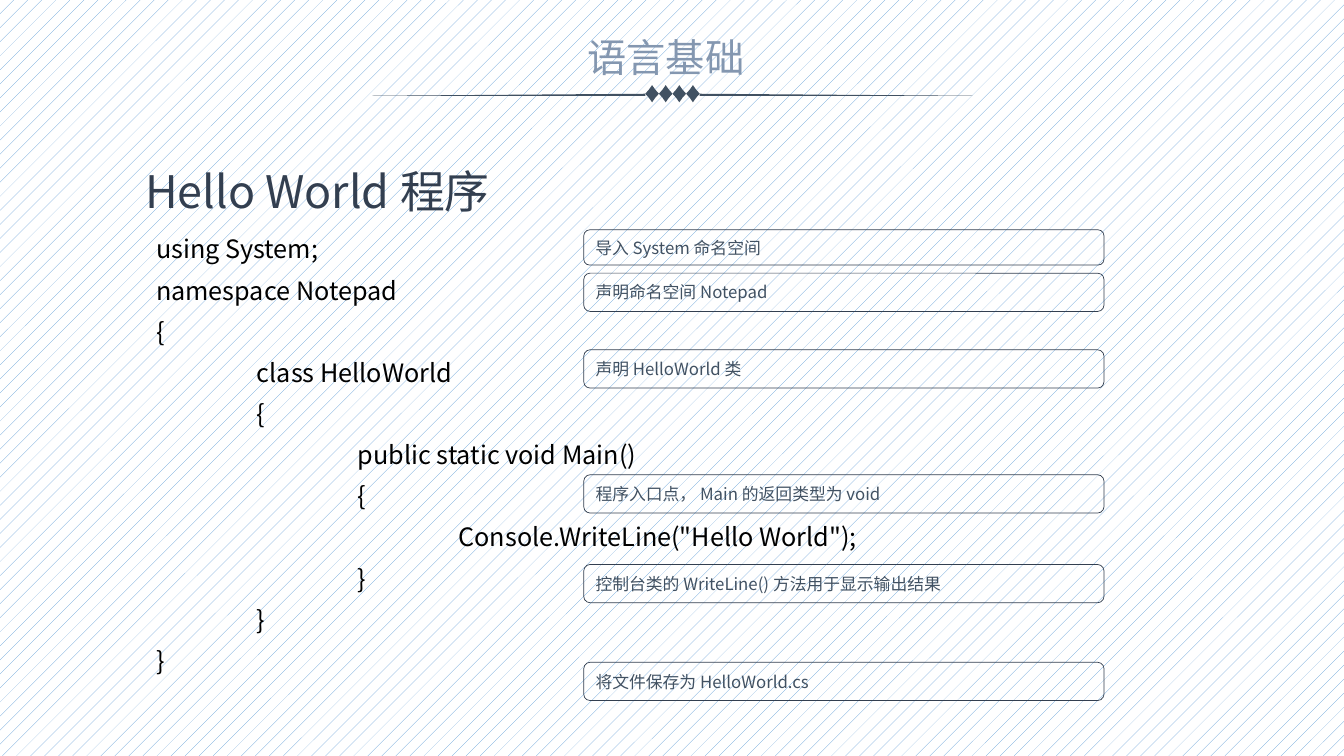
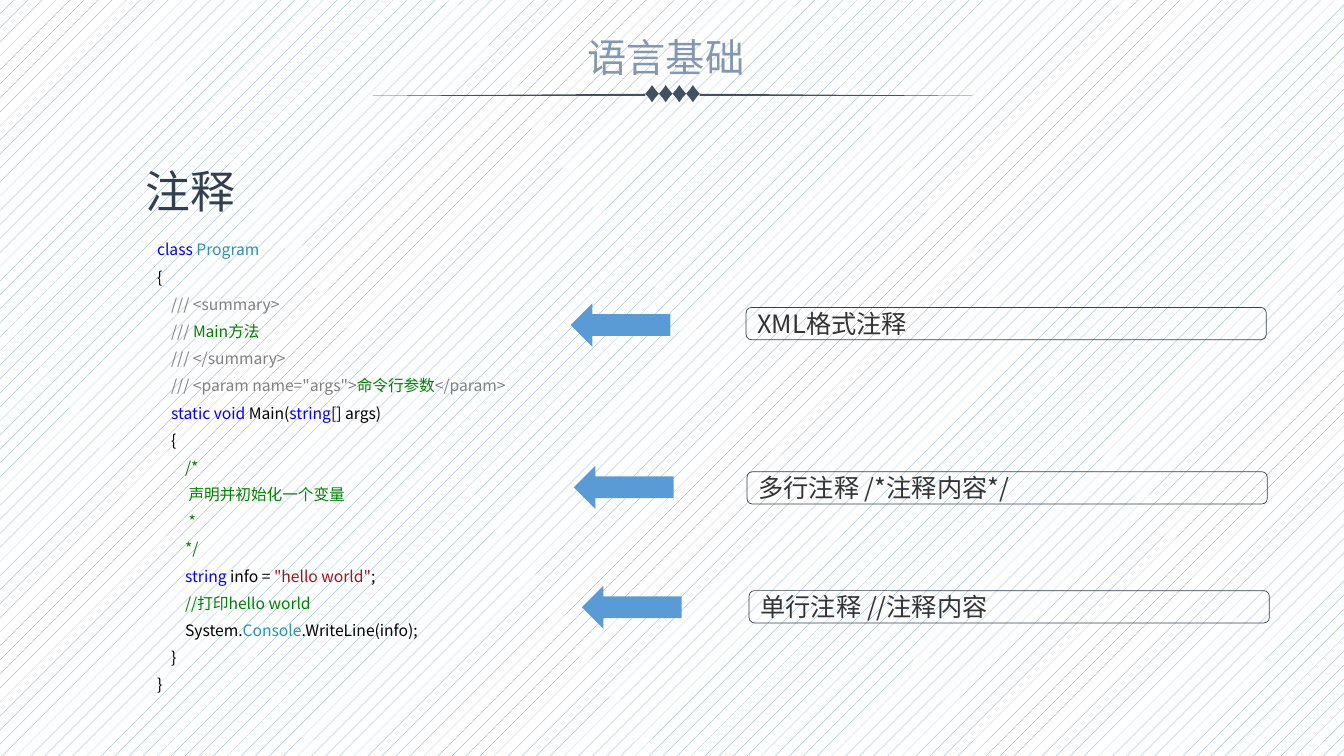
from dataclasses import dataclass

from pptx import Presentation
from pptx import util as u
from pptx.dml.color import RGBColor
from pptx.enum import dml, shapes, text
from pptx.oxml import ns, xmlchemy


@dataclass(frozen=True)
class Theme:
    font: str = "Noto Sans CJK SC"
    leading: float = 1.2
    banner: str = "8497B0"
    ornament: str = "415162"
    dark: str = "333F50"
    note: str = "333333"
    accent: str = "5B9BD5"
    paper: str = "FFFFFF"
    # Type sizes in points
    banner_pt: float = 28
    title_pt: float = 32
    code_pt: float = 18
    small_code_pt: float = 11.2
    label_pt: float = 12


T = Theme()
W, H = 13.33, 7.5

# Syntax colours
BLACK, KEYWORD, TYPE = "000000", "0000FF", "2B91AF"
XML_DOC, COMMENT, STRING = "808080", "008000", "A31515"

HELLO_CODE = [
    "using System;",
    "namespace Notepad",
    "{",
    "\tclass HelloWorld",
    "\t{",
    "\t\tpublic static void Main()",
    "\t\t{",
    "\t\t\tConsole.WriteLine(\"Hello World\");",
    "\t\t}",
    "\t}",
    "}",
]
# Label text, top, height
HELLO_LABELS = [
    ("导入 System 命名空间", 2.28, 0.35),
    ("声明命名空间 Notepad", 2.71, 0.38),
    ("声明 HelloWorld 类", 3.47, 0.38),
    ("程序入口点， Main 的返回类型为 void", 4.71, 0.38),
    ("控制台类的 WriteLine() 方法用于显示输出结果", 5.6, 0.38),
    ("将文件保存为 HelloWorld.cs", 6.57, 0.38),
]
COMMENT_CODE = [
    [("class ", KEYWORD), ("Program", TYPE)],
    [("{", BLACK)],
    [("    /// <summary>", XML_DOC)],
    [("    ///", XML_DOC), (" Main方法", COMMENT)],
    [("    /// </summary>", XML_DOC)],
    [("    /// <param name=\"args\">", XML_DOC), ("命令行参数", COMMENT),
     ("</param>", XML_DOC)],
    [("    static void", KEYWORD), (" Main(", BLACK), ("string", KEYWORD),
     ("[] args)", BLACK)],
    [("    {", BLACK)],
    [("        /*", COMMENT)],
    [("         声明并初始化一个变量", COMMENT)],
    [("         *", COMMENT)],
    [("        */", COMMENT)],
    [("        string", KEYWORD), (" info = ", BLACK),
     ("\"hello world\"", STRING), (";", BLACK)],
    [("        //打印hello world", COMMENT)],
    [("        System.", BLACK), ("Console", TYPE),
     (".WriteLine(info);", BLACK)],
    [("    }", BLACK)],
    [("}", BLACK)],
]
# Label text, arrow left and top, label left and top
COMMENT_KINDS = [
    ("XML格式注释", 5.66, 3.01, 7.4, 3.05),
    ("多行注释 /*注释内容*/", 5.69, 4.62, 7.41, 4.68),
    ("单行注释 //注释内容", 5.77, 5.81, 7.43, 5.86),
]


def rgb(color):
    return RGBColor.from_string(color)


def inches(box):
    return [u.Inches(v) for v in box]


def write(tf, lines, size, align=text.PP_ALIGN.LEFT, spread=1.0, before=0,
          anchor=text.MSO_ANCHOR.TOP):
    """Fill a text frame with lines, each a list of (text, colour) runs."""
    tf.word_wrap = True
    tf.auto_size = text.MSO_AUTO_SIZE.NONE
    tf.vertical_anchor = anchor
    for i, runs in enumerate(lines):
        p = tf.add_paragraph() if i else tf.paragraphs[0]
        p.alignment = align
        p.line_spacing = u.Pt(round(size * T.leading * spread, 1))
        p.space_before = u.Pt(before if i else 0)
        # Tab stops one inch apart
        p._p.get_or_add_pPr().set("defTabSz", str(u.Inches(1)))
        for content, color in runs:
            r = p.add_run()
            r.text = content
            r.font.size = u.Pt(size)
            r.font.name = T.font
            r.font.color.rgb = rgb(color)
            ea = xmlchemy.OxmlElement("a:ea")
            ea.set("typeface", T.font)
            r.font._element.find(ns.qn("a:latin")).addnext(ea)


def add_text(slide, box, lines, size, **style):
    sp = slide.shapes.add_textbox(*inches(box))
    write(sp.text_frame, lines, size, **style)
    return sp


def add_outline(slide, points):
    """Closed solid outline in the ornament colour."""
    start, *rest = [inches(point) for point in points]
    fb = slide.shapes.build_freeform(*start)
    fb.add_line_segments(rest, close=True)
    sp = fb.convert_to_shape()
    sp.shadow.inherit = False
    sp.fill.solid()
    sp.fill.fore_color.rgb = rgb(T.ornament)
    sp.line.fill.background()
    return sp


def add_banner(slide, box):
    """Section name above a tapered rule with four diamonds."""
    left, top, width, height = box
    parts = [add_text(slide, (left + 1.66, top, 2.51, 0.57),
                      [[("语言基础", T.banner)]], T.banner_pt,
                      align=text.PP_ALIGN.CENTER)]
    mid, pitch, half_h = top + height - 0.09, 0.135, 0.085
    first = left + width / 2 - 2 * pitch
    # Diamonds with slightly hollow sides
    hollow = [(1, 0), (0.47, 0.47), (0, 1), (-0.47, 0.47),
              (-1, 0), (-0.47, -0.47), (0, -1), (0.47, -0.47)]
    for i in range(4):
        cx = first + (i + 0.5) * pitch
        parts.append(add_outline(
            slide, [(cx + a * pitch / 2, mid + b * half_h)
                    for a, b in hollow]))
    # Rules thin out towards their tips
    for tip, root in ((left, first), (left + width, first + 4 * pitch)):
        parts.append(add_outline(
            slide, [(tip, mid + 0.02), (root, mid + 0.02), (root, mid)]))
    return parts


def set_up_layout(layout, slide):
    """Give the layout its background and the shared banner."""
    fill = layout.background.fill
    fill.patterned()
    fill.pattern = dml.MSO_PATTERN.PERCENT_5
    fill.fore_color.rgb = rgb(T.accent)
    fill.back_color.rgb = rgb(T.paper)
    for sp in add_banner(slide, (3.69, 0.28, 5.96, 0.74)):
        layout.shapes._spTree.append(sp._element)


def add_title(slide, box, content):
    sp = slide.shapes.title
    sp.left, sp.top, sp.width, sp.height = inches(box)
    write(sp.text_frame, [[(content, T.dark)]], T.title_pt)


def add_label(slide, box, content, size, color):
    sp = slide.shapes.add_shape(
        shapes.MSO_SHAPE.FLOWCHART_ALTERNATE_PROCESS, *inches(box))
    sp.shadow.inherit = False
    sp.fill.background()
    sp.line.color.rgb = rgb(T.dark)
    sp.line.width = u.Pt(0.5)
    write(sp.text_frame, [[(content, color)]], size,
          anchor=text.MSO_ANCHOR.MIDDLE)


def add_arrow(slide, box):
    sp = slide.shapes.add_shape(shapes.MSO_SHAPE.LEFT_ARROW, *inches(box))
    sp.shadow.inherit = False
    sp.fill.solid()
    sp.fill.fore_color.rgb = rgb(T.accent)
    sp.line.fill.background()


def hello_slide(slide, title_box):
    add_title(slide, title_box, "Hello World 程序")
    add_text(slide, (1.45, 2.3, 11.32, 4.95),
             [[(line, BLACK)] for line in HELLO_CODE], T.code_pt,
             spread=0.9, before=10)
    for content, top, height in HELLO_LABELS:
        add_label(slide, (5.79, top, 5.16, height), content,
                  T.label_pt, T.ornament)


def comments_slide(slide, title_box):
    add_title(slide, title_box, "注释")
    add_text(slide, (1.46, 2.39, 11.31, 4.58), COMMENT_CODE,
             T.small_code_pt, spread=0.7, before=10)
    for content, arrow_x, arrow_y, label_x, label_y in COMMENT_KINDS:
        add_arrow(slide, (arrow_x, arrow_y, 0.99, 0.43))
        add_label(slide, (label_x, label_y, 5.16, 0.32), content,
                  T.code_pt, T.note)


def main():
    prs = Presentation()
    prs.slide_width, prs.slide_height = u.Inches(W), u.Inches(H)
    layout = prs.slide_layouts.get_by_name("Title Only")
    title_box = (1.34, 1.57, 4.63, 0.64)
    for i, build in enumerate((hello_slide, comments_slide)):
        slide = prs.slides.add_slide(layout)
        if i == 0:
            set_up_layout(layout, slide)
        build(slide, title_box)
    prs.save("out.pptx")


if __name__ == "__main__":
    main()
